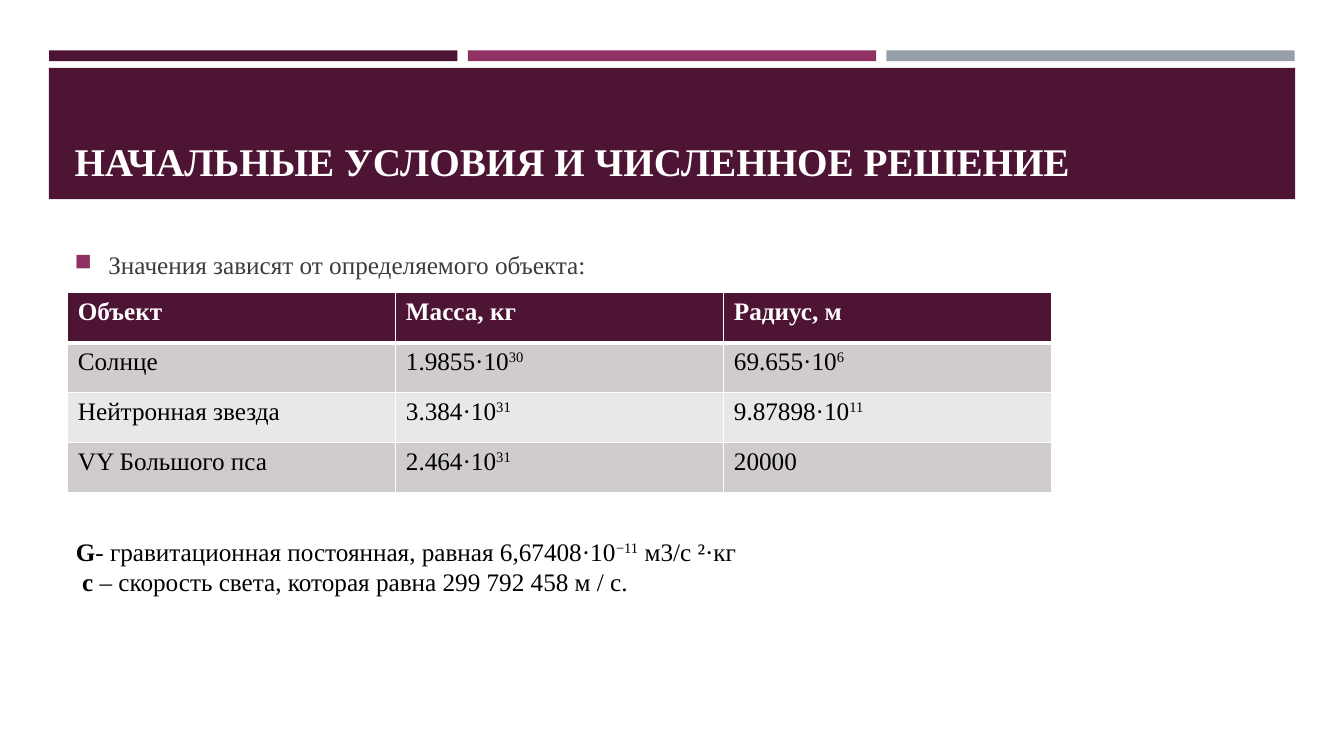
from lxml.etree import SubElement
from pptx import Presentation
from pptx.dml.color import RGBColor
from pptx.enum.shapes import MSO_SHAPE as SHAPE
from pptx.enum.text import MSO_ANCHOR as ANCHOR
from pptx.oxml.ns import qn
from pptx.util import Cm, Pt

PLUM = RGBColor(0x4D, 0x14, 0x34)
BERRY = RGBColor(0x90, 0x31, 0x63)
STEEL = RGBColor(0x96, 0x9F, 0xA7)
BAND_DARK = RGBColor(0xD0, 0xCC, 0xCE)
BAND_LIGHT = RGBColor(0xE9, 0xE7, 0xE8)
WHITE = RGBColor(0xFF, 0xFF, 0xFF)
BLACK = RGBColor(0, 0, 0)
GRAY = RGBColor(0x3D, 0x3D, 0x3D)


class SlideBuilder:
    font = "Times New Roman"
    size = 18

    def __init__(self, slide):
        self.slide = slide

    def bar(self, x, y, w, h, color):
        sp = self.slide.shapes.add_shape(SHAPE.RECTANGLE, Cm(x), Cm(y), Cm(w), Cm(h))
        sp.shadow.inherit = False
        sp.fill.solid()
        sp.fill.fore_color.rgb = color
        sp.line.fill.background()

    def runs(self, p, parts, color, size=None):
        """Each part is (text, style): "b" is bold, "^" is superscript."""
        for text, style in parts:
            r = p.add_run()
            r.text = text
            r.font.name = self.font
            r.font.size = Pt(size or self.size)
            r.font.bold = style == "b"
            r.font.color.rgb = color
            if style == "^":
                r.font._element.set("baseline", "30000")

    def text(self, x, y, w, h, lines, color, size=None, anchor=ANCHOR.TOP):
        tf = self.slide.shapes.add_textbox(Cm(x), Cm(y), Cm(w), Cm(h)).text_frame
        tf.word_wrap = True
        tf.vertical_anchor = anchor
        for i, parts in enumerate(lines):
            p = tf.add_paragraph() if i else tf.paragraphs[0]
            self.runs(p, parts, color, size)
        return tf

    def bullet(self, p, char, color, percent, indent):
        pPr = p._p.get_or_add_pPr()
        pPr.set("marL", str(Cm(indent)))
        pPr.set("indent", str(-Cm(indent)))
        SubElement(SubElement(pPr, qn("a:buClr")), qn("a:srgbClr"), val=str(color))
        SubElement(pPr, qn("a:buSzPct"), val=str(percent * 1000))
        SubElement(pPr, qn("a:buChar"), char=char)

    def borders(self, cell, bottom):
        tcPr = cell._tc.get_or_add_tcPr()
        for side, width in (("L", 1), ("R", 1), ("T", 1), ("B", bottom)):
            ln = SubElement(tcPr, qn("a:ln" + side), w=str(Pt(width)))
            fill = SubElement(ln, qn("a:solidFill"))
            SubElement(fill, qn("a:srgbClr"), val=str(WHITE))

    def table(self, x, y, w, h, rows):
        tbl = self.slide.shapes.add_table(
            len(rows), len(rows[0]), Cm(x), Cm(y), Cm(w), Cm(h)).table
        for i, row in enumerate(rows):
            head = i == 0
            band = PLUM if head else BAND_DARK if i % 2 else BAND_LIGHT
            for j, (base, power) in enumerate(row):
                cell = tbl.cell(i, j)
                # The rule under the header is thick on both touching cells
                self.borders(cell, 3 if head else 1)
                if i == 1:
                    cell._tc.tcPr.find(qn("a:lnT")).set("w", str(Pt(3)))
                cell.fill.solid()
                cell.fill.fore_color.rgb = band
                parts = [(base, "b" if head else "")]
                if power:
                    parts.append((power, "^"))
                self.runs(cell.text_frame.paragraphs[0], parts, WHITE if head else BLACK)


def main():
    prs = Presentation()
    prs.slide_width, prs.slide_height = Cm(33.87), Cm(19.05)
    s = SlideBuilder(prs.slides.add_slide(prs.slide_layouts[6]))

    # Accent strips and title band
    for i, color in enumerate((PLUM, BERRY, STEEL)):
        s.bar(1.24 + i * 10.55, 1.27, 10.29, 0.27, color)
    s.bar(1.23, 1.71, 31.41, 3.31, PLUM)
    s.text(1.63, 1.96, 30.63, 2.82, [[("НАЧАЛЬНЫЕ УСЛОВИЯ И ЧИСЛЕННОЕ РЕШЕНИЕ", "b")]],
           WHITE, 28, ANCHOR.BOTTOM)

    # Lead-in bullet
    tf = s.text(1.63, 6.05, 14.48, 1.24,
                [[("Значения зависят от определяемого объекта:", "")]],
                GRAY, anchor=ANCHOR.MIDDLE)
    s.bullet(tf.paragraphs[0], "■", BERRY, 92, 0.85)
    tf.paragraphs[0].space_after = Pt(6)

    # Initial values
    s.table(1.71, 7.38, 24.8, 5.04, [
        [("Объект", ""), ("Масса, кг", ""), ("Радиус, м", "")],
        [("Солнце", ""), ("1.9855·10", "30"), ("69.655·10", "6")],
        [("Нейтронная звезда", ""), ("3.384·10", "31"), ("9.87898·10", "11")],
        [("VY Большого пса", ""), ("2.464·10", "31"), ("20000", "")],
    ])

    # Constants
    s.text(1.66, 13.39, 23.42, 1.8, [
        [("G", "b"), ("- гравитационная постоянная, равная 6,67408·10", ""),
         ("−11", "^"), (" м3/с ²·кг", "")],
        [(" с ", "b"), ("– скорость света, которая равна 299 792 458 м / с.", "")],
    ], BLACK)

    prs.save("out.pptx")


if __name__ == "__main__":
    main()
